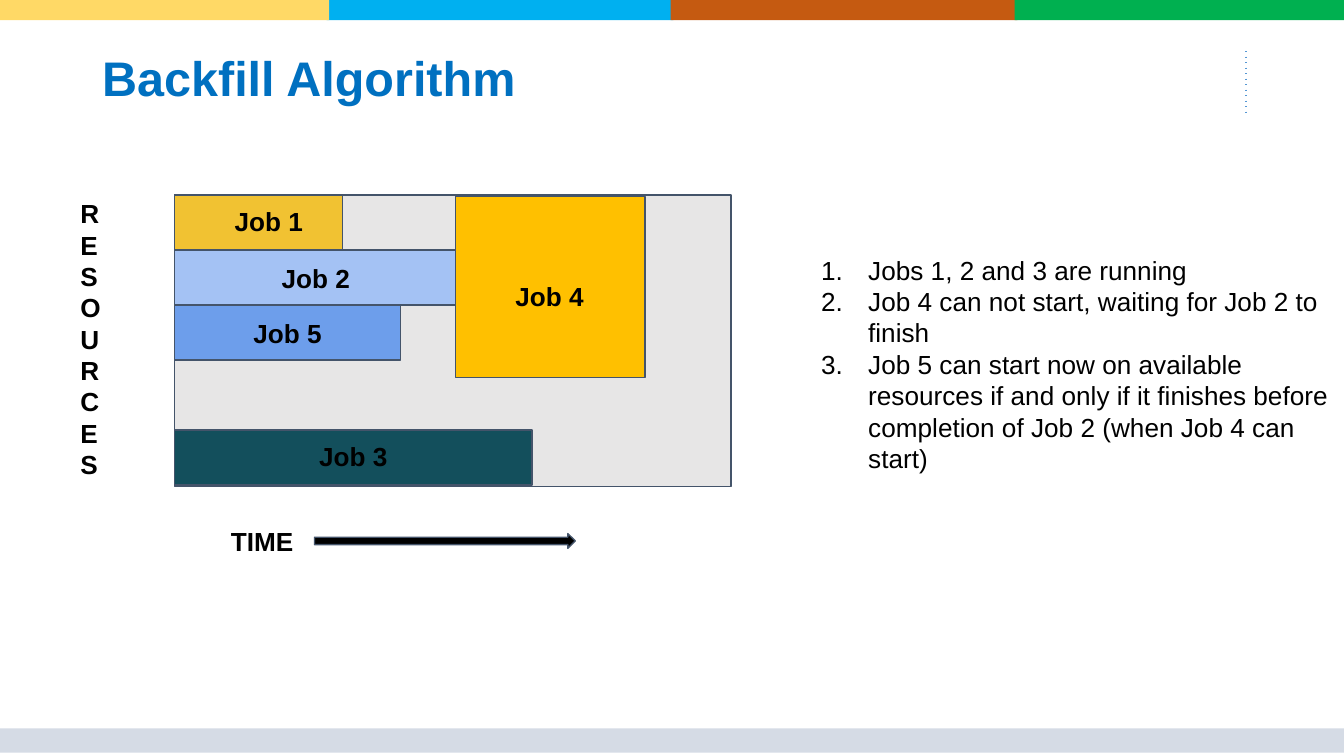
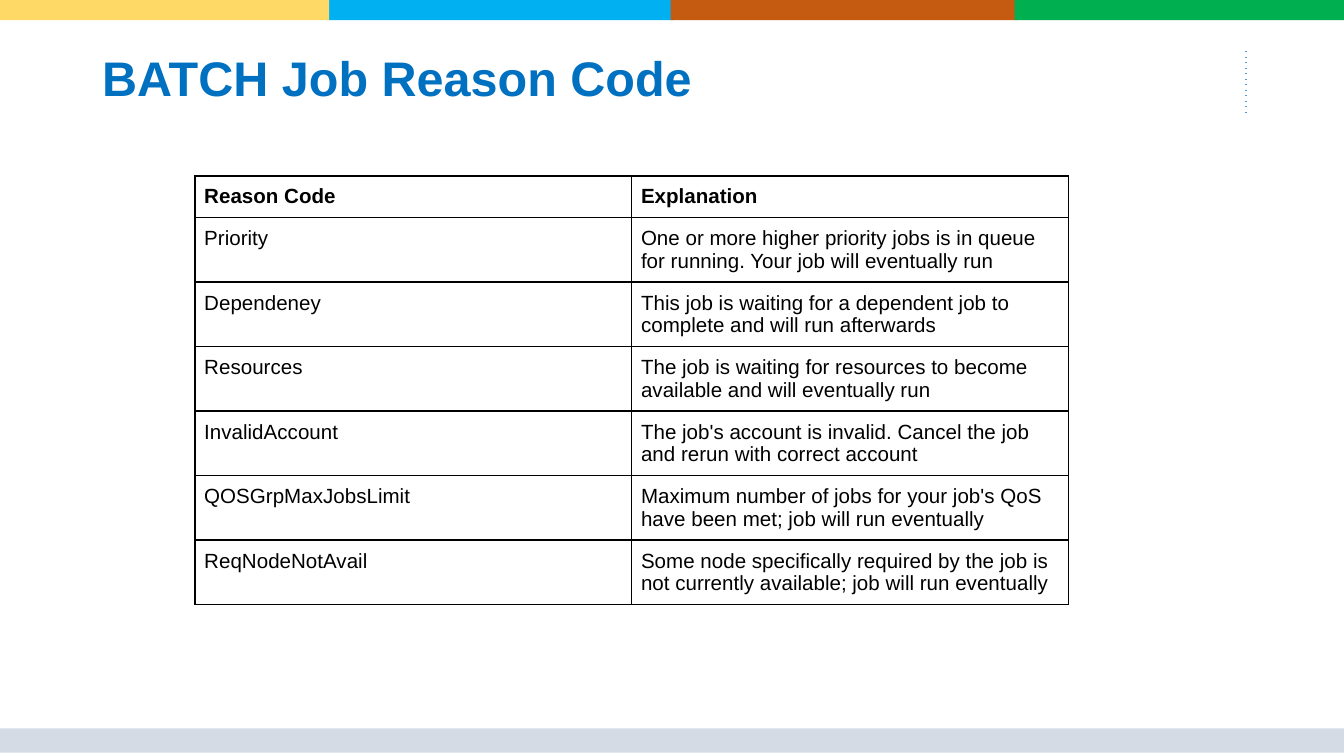
from lxml.etree import SubElement
from pptx import Presentation
from pptx.dml.color import RGBColor
from pptx.enum.shapes import MSO_CONNECTOR, MSO_SHAPE
from pptx.enum.text import MSO_ANCHOR, MSO_AUTO_SIZE, PP_ALIGN
from pptx.oxml.ns import qn
from pptx.util import Emu, Pt

# Shared look: 100 px to the inch
SCALE = 9144
FONT = "Arial"
BLACK, TITLE, EDGE = "000000", "0070C0", "44546A"
BANDS = [(243, 258, "00B0F0"), (499, 258, "C55A11"),
         (755, 245, "00B050"), (0, 245, "FFD966")]

# Job: name, bar box, colour, label left and top
JOBS = [
    ("Job 1", (130, 145, 125, 41), "F1C232", (155, 143)),
    ("Job 2", (130, 186, 209, 41), "A4C2F4", (190, 185)),
    ("Job 3", (130, 320, 266, 41), "134F5C", (218, 318)),
    ("Job 5", (130, 227, 168, 41), "6D9EEB", (169, 226)),
    ("Job 4", (339, 146, 141, 135), "FFC000", (364, 199)),
]
STEPS = [
    "Jobs 1, 2 and 3 are running",
    "Job 4 can not start, waiting for Job 2 to finish",
    "Job 5 can start now on available resources if and only if it finishes "
    "before completion of Job 2 (when Job 4 can start)",
]
CODES = [
    ("Reason Code", "Explanation"),
    ("Priority", "One or more higher priority jobs is in queue for running. "
                 "Your job will eventually run"),
    ("Dependeney", "This job is waiting for a dependent job to complete "
                   "and will run afterwards"),
    ("Resources", "The job is waiting for resources to become available "
                  "and will eventually run"),
    ("InvalidAccount", "The job's account is invalid. Cancel the job "
                       "and rerun with correct account"),
    ("QOSGrpMaxJobsLimit", "Maximum number of jobs for your job's QoS "
                           "have been met; job will run eventually"),
    ("ReqNodeNotAvail", "Some node specifically required by the job is "
                        "not currently available; job will run eventually"),
]


def px(num):
    return Emu(num * SCALE)


def rgb(code):
    return RGBColor.from_string(code)


def place(item, box):
    item.left, item.top, item.width, item.height = map(px, box)


def inset(item, side, end):
    item.margin_left = item.margin_right = px(side)
    item.margin_top = item.margin_bottom = px(end)


def write(para, text, size, bold=False, color=BLACK):
    run = para.add_run()
    run.text = text
    font = run.font
    font.name, font.size, font.bold = FONT, Pt(size), bold
    font.color.rgb = rgb(color)


def fill(frame, lines):
    """Yield one paragraph of the frame with each line."""
    for i, line in enumerate(lines):
        yield (frame.add_paragraph() if i else frame.paragraphs[0]), line


def block(slide, box, color, edge=None, kind=MSO_SHAPE.RECTANGLE):
    shape = slide.shapes.add_shape(kind, *map(px, box))
    shape.shadow.inherit = False
    shape.fill.solid()
    shape.fill.fore_color.rgb = rgb(color)
    if edge:
        shape.line.color.rgb = rgb(edge)
        shape.line.width = Pt(0.75)
    else:
        shape.line.fill.background()


def label(slide, box, lines, align=PP_ALIGN.LEFT):
    frame = slide.shapes.add_textbox(*map(px, box)).text_frame
    frame.word_wrap = True
    inset(frame, 10, 10)
    for para, line in fill(frame, lines):
        para.alignment = align
        write(para, line, 14, True)


def rule(slide, start, end, color):
    line = slide.shapes.add_connector(
        MSO_CONNECTOR.STRAIGHT, *map(px, start + end))
    line.line.color.rgb = rgb(color)
    line.line.width = Pt(0.75)
    props = line._element.spPr
    SubElement(props.find(qn("a:ln")), qn("a:prstDash"), val="dot")
    SubElement(props, qn("a:effectLst"))


def steps(body, box, lines):
    place(body, box)
    frame = body.text_frame
    frame.word_wrap = True
    frame.auto_size = MSO_AUTO_SIZE.NONE
    frame.vertical_anchor = MSO_ANCHOR.TOP
    inset(frame, 10, 10)
    for para, line in fill(frame, lines):
        write(para, line, 14)
        para.space_before = Pt(0)
        props = para._p.get_or_add_pPr()
        props.set("marL", str(px(50)))
        props.set("indent", str(px(-35)))
        tint = SubElement(props, qn("a:buClr"))
        SubElement(tint, qn("a:srgbClr"), val=BLACK)
        SubElement(props, qn("a:buFont"), typeface=FONT)
        SubElement(props, qn("a:buAutoNum"), type="arabicPeriod")


def border(cell):
    props = cell._tc.get_or_add_tcPr()
    for i, side in enumerate(("lnL", "lnR", "lnT", "lnB")):
        line = SubElement(props, qn("a:" + side), w=str(Pt(1)))
        paint = SubElement(line, qn("a:solidFill"))
        SubElement(paint, qn("a:srgbClr"), val=BLACK)
        props.insert(i, line)


def grid(slide, left, top, width, heights, rows):
    cols = len(rows[0])
    table = slide.shapes.add_table(
        len(rows), cols, px(left), px(top),
        px(width * cols), px(sum(heights))).table
    table.horz_banding = False
    for r, texts in enumerate(rows):
        table.rows[r].height = px(heights[r])
        for c, text in enumerate(texts):
            cell = table.cell(r, c)
            inset(cell, 7, 7)
            cell.fill.background()
            border(cell)
            write(cell.text_frame.paragraphs[0], text, 11, r == 0)


def page(deck, layout, title):
    """Add a slide with the bands, the dotted rule and the title."""
    slide = deck.slides.add_slide(deck.slide_layouts[layout])
    for left, width, color in BANDS:
        block(slide, (left, -2, width, 17), color)
    block(slide, (0, 542, 1000, 18), "D5DBE5")
    rule(slide, (927, 38), (927, 84), "5597D3")
    head = slide.shapes.title
    place(head, (69, 35, 844, 50))
    frame = head.text_frame
    frame.auto_size = MSO_AUTO_SIZE.NONE
    frame.vertical_anchor = MSO_ANCHOR.MIDDLE
    inset(frame, 7, 4)
    para = frame.paragraphs[0]
    para.alignment = PP_ALIGN.LEFT
    para.line_spacing = 0.9
    write(para, title, 26, True, TITLE)
    return slide


def main():
    # Wide page, 16 to 9
    deck = Presentation()
    deck.slide_width = px(1000)
    deck.slide_height = Emu(deck.slide_width * 9 // 16)

    # Schedule of jobs over time
    slide = page(deck, 1, "Backfill Algorithm")
    block(slide, (130, 145, 414, 217), "E7E6E6", EDGE)
    for name, box, color, (left, top) in JOBS:
        block(slide, box, color, EDGE)
        label(slide, (left, top, 90, 44), [name], PP_ALIGN.CENTER)

    # Axes
    label(slide, (50, 137, 52, 232), "RESOURCES")
    label(slide, (162, 381, 76, 44), ["TIME"])
    block(slide, (234, 397, 194, 11), BLACK, EDGE, MSO_SHAPE.RIGHT_ARROW)

    # Numbered steps
    steps(slide.placeholders[1], (586, 179, 417, 185), STEPS)

    # Reason codes
    slide = page(deck, 5, "BATCH Job Reason Code")
    grid(slide, 145, 131, 325, [31] + [48] * (len(CODES) - 1), CODES)

    deck.save("out.pptx")


if __name__ == "__main__":
    main()
